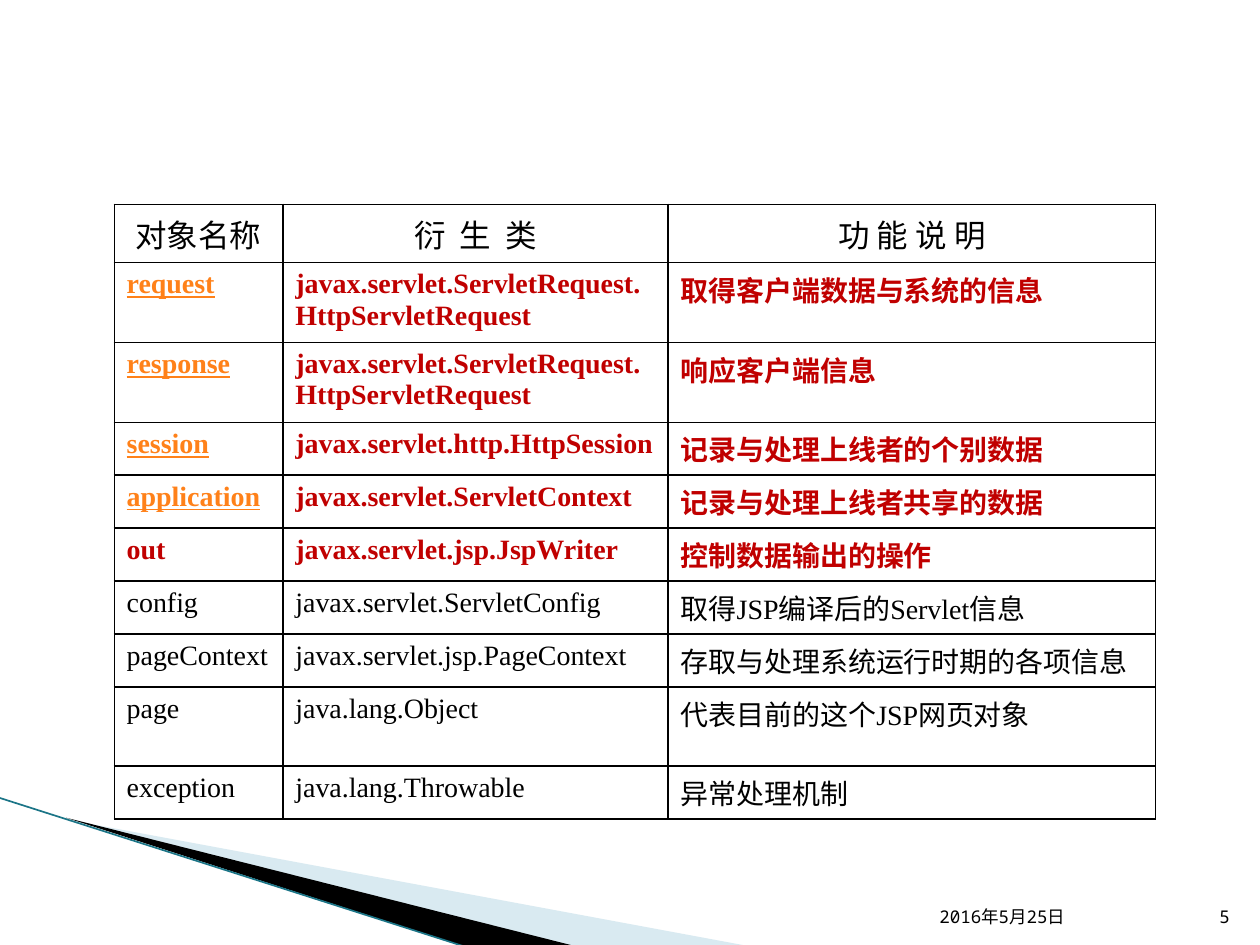
from lxml import etree
from pptx import Presentation
from pptx.dml.color import RGBColor
from pptx.enum.shapes import MSO_CONNECTOR as Connector
from pptx.enum.text import MSO_ANCHOR as Anchor, PP_ALIGN as Align
from pptx.oxml.ns import qn
from pptx.util import Pt

BLACK = RGBColor(0x00, 0x00, 0x00)
RED = RGBColor(0xC0, 0x00, 0x00)
ORANGE = RGBColor(0xFF, 0x81, 0x19)
PALE_BLUE = RGBColor(0xA0, 0xCB, 0xDC)
TEAL = RGBColor(0x1B, 0x75, 0x87)

HEADINGS = ["对象名称", "衍  生  类", "功 能 说 明"]
REQUEST_CLASS = "javax.servlet.ServletRequest.\nHttpServletRequest"
OBJECTS = [
    ("request", REQUEST_CLASS, "取得客户端数据与系统的信息"),
    ("response", REQUEST_CLASS, "响应客户端信息"),
    ("session", "javax.servlet.http.HttpSession", "记录与处理上线者的个别数据"),
    ("application", "javax.servlet.ServletContext", "记录与处理上线者共享的数据"),
    ("out", "javax.servlet.jsp.JspWriter", "控制数据输出的操作"),
    ("config", "javax.servlet.ServletConfig", "取得JSP编译后的Servlet信息"),
    ("pageContext", "javax.servlet.jsp.PageContext", "存取与处理系统运行时期的各项信息"),
    ("page", "java.lang.Object", "代表目前的这个JSP网页对象"),
    ("exception", "java.lang.Throwable", "异常处理机制"),
]
LINKED_COUNT = 4
KEY_COUNT = 5
COLUMN_SHARES = [0.162, 0.37, 0.468]
HEADING_ROW, SHORT_ROW, TALL_ROW = 33.3, 30.3, 45.2
TALL_ROWS = {1, 2, 8}

HEADING_FONT = {"name": "Arial", "size": Pt(18)}
BODY_FONT = {"name": "Times New Roman", "size": Pt(16)}
FOOTER_FONT = {"name": "Noto Sans Mono", "size": Pt(10)}


def write_text(text_frame, text, font_format, color, alignment=Align.LEFT):
    text_frame.text = text
    for paragraph in text_frame.paragraphs:
        paragraph.alignment = alignment
        for run in paragraph.runs:
            for name, value in font_format.items():
                setattr(run.font, name, value)
            run.font.color.rgb = color


def add_border(cell, side, width):
    properties = cell._tc.get_or_add_tcPr()
    line = etree.SubElement(properties, qn(f"a:ln{side}"), w=str(Pt(width)))
    fill = etree.SubElement(line, qn("a:solidFill"))
    etree.SubElement(fill, qn("a:srgbClr"), val=str(BLACK))


def add_wedge(slide, points, color, opacity=None):
    corners = [(Pt(x), Pt(y)) for x, y in points]
    builder = slide.shapes.build_freeform(*corners[0])
    builder.add_line_segments(corners[1:], close=True)
    shape = builder.convert_to_shape()
    shape.shadow.inherit = False
    shape.fill.solid()
    shape.fill.fore_color.rgb = color
    shape.line.fill.background()
    if opacity is not None:
        tint = shape._element.spPr.find(".//" + qn("a:srgbClr"))
        etree.SubElement(tint, qn("a:alpha"), val=str(opacity * 1000))


def add_corner_decoration(slide, left, top, width, height):
    bottom = top + height
    add_wedge(slide, [(left + 40, top + 12.7), (left + width, bottom),
                      (left + 329, bottom)], PALE_BLUE, 40)
    add_wedge(slide, [(left + 38.5, top + 11.5), (left + 329.5, bottom),
                      (left + 268, bottom + 0.7)], BLACK)
    edge = slide.shapes.add_connector(
        Connector.STRAIGHT, Pt(left), Pt(top), Pt(left + 267.8), Pt(bottom + 0.7))
    edge.line.color.rgb = TEAL
    edge.line.width = Pt(0.95)
    etree.SubElement(edge._element.spPr, qn("a:effectLst"))


def add_footer(slide, left, top, width, height):
    number_width = 28.8
    date_width = width - number_width
    for text, offset, part_width, alignment in [
        ("2016年5月25日", 0, date_width, Align.LEFT),
        ("5", date_width, number_width, Align.RIGHT),
    ]:
        box = slide.shapes.add_textbox(
            Pt(left + offset), Pt(top), Pt(part_width), Pt(height))
        box.text_frame.word_wrap = True
        box.text_frame.vertical_anchor = Anchor.BOTTOM
        write_text(box.text_frame, text, FOOTER_FONT, BLACK, alignment)


def row_height(row_index):
    if row_index == 0:
        return HEADING_ROW
    return TALL_ROW if row_index in TALL_ROWS else SHORT_ROW


def add_object_table(slide, left, top, width, height):
    rows = [HEADINGS, *OBJECTS]
    table = slide.shapes.add_table(
        len(rows), len(HEADINGS), Pt(left), Pt(top), Pt(width), Pt(height)).table
    table.first_row = table.horz_banding = False
    for column, share in zip(table.columns, COLUMN_SHARES):
        column.width = Pt(width * share)
    for row_index, texts in enumerate(rows):
        is_key = 1 <= row_index <= KEY_COUNT
        table.rows[row_index].height = Pt(row_height(row_index))
        for column_index, text in enumerate(texts):
            cell = table.cell(row_index, column_index)
            outer_sides = {0: "L", len(HEADINGS) - 1: "R"}
            for side in "LRTB":
                is_outer = outer_sides.get(column_index) == side
                add_border(cell, side, 0.75 if is_outer else 1)
            cell.fill.background()
            if row_index == 0:
                write_text(cell.text_frame, text, HEADING_FONT, BLACK, Align.CENTER)
                continue
            is_linked = column_index == 0 and row_index <= LINKED_COUNT
            color = ORANGE if is_linked else RED if is_key else BLACK
            font_format = {**BODY_FONT, "bold": is_key, "underline": is_linked}
            write_text(cell.text_frame, text, font_format, color)


def main():
    presentation = Presentation()
    presentation.slide_width, presentation.slide_height = Pt(720), Pt(540)
    slide = presentation.slides.add_slide(presentation.slide_layouts[6])
    add_corner_decoration(slide, -0.7, 455.8, 429, 84.9)
    add_footer(slide, 529.8, 504.7, 180, 28.8)
    add_object_table(slide, 65.2, 116.8, 595.2, 350.7)
    presentation.save("out.pptx")


if __name__ == "__main__":
    main()
